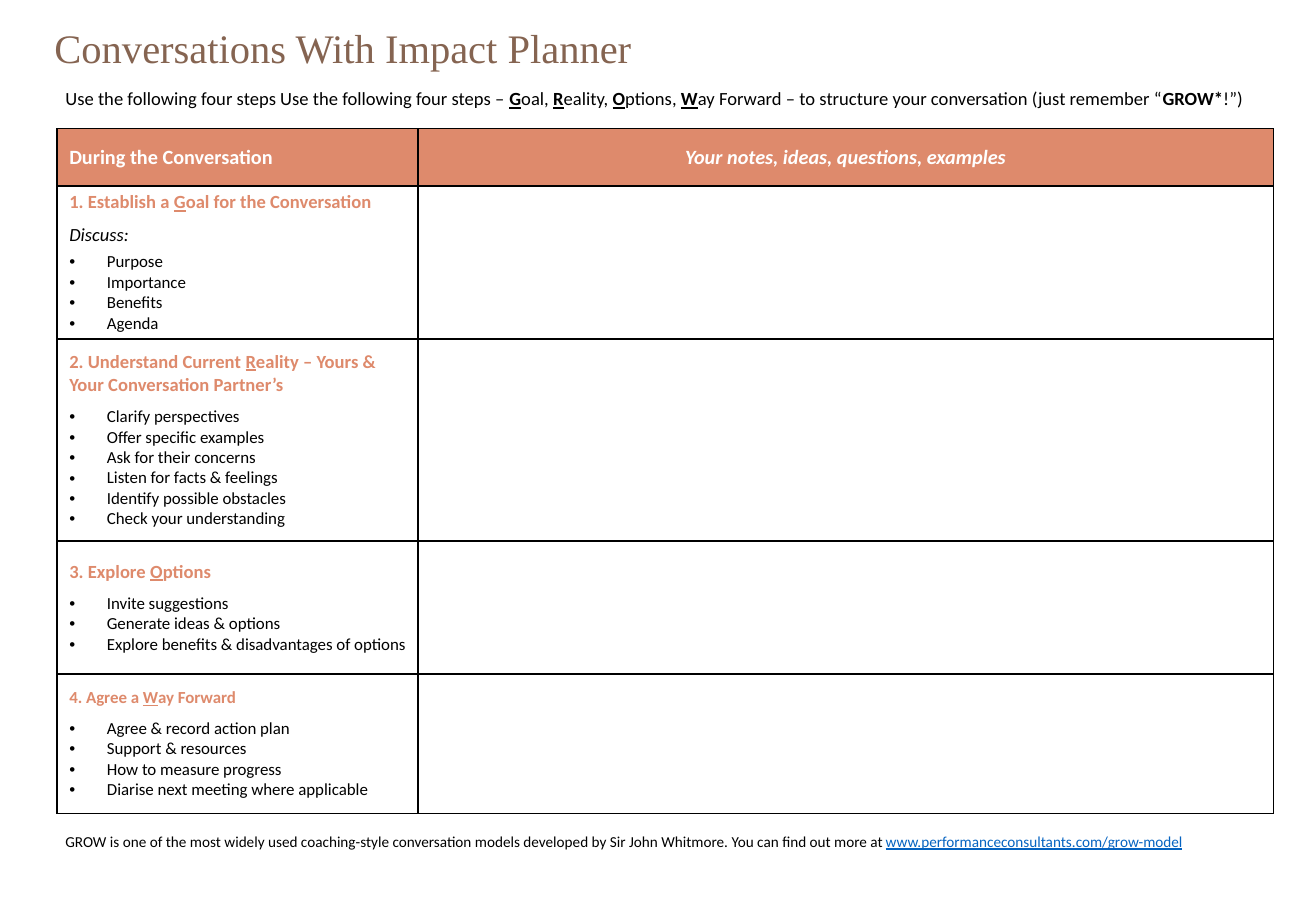
from lxml import etree
from pptx import Presentation
from pptx import util as u
from pptx.dml.color import RGBColor
from pptx.enum import text
from pptx.oxml.ns import qn

COLOURS = {"title": "856451", "accent": "DE8A6C", "ink": "000000",
           "paper": "FFFFFF", "link": "0563C1"}
WIDTH, HEIGHT = 10.83, 7.5
STRONG = {"bold": True, "underline": True}
HEADING = {"size": u.Pt(11), "bold": True, "colour": "accent"}
STEPS = [
    ("1. Establish a _G_oal for the Conversation", 11, "Discuss:",
     ["Purpose", "Importance", "Benefits", "Agenda"]),
    ("2. Understand Current _R_eality – Yours & Your Conversation Partner’s", 11, None,
     ["Clarify perspectives", "Offer specific examples", "Ask for their concerns",
      "Listen for facts & feelings", "Identify possible obstacles",
      "Check your understanding"]),
    ("3. Explore _O_ptions", 11, None,
     ["Invite suggestions", "Generate ideas & options",
      "Explore benefits & disadvantages of options"]),
    ("4. Agree a _W_ay Forward", 10, None,
     ["Agree & record action plan", "Support & resources",
      "How to measure progress", "Diarise next meeting where applicable"]),
]


def across(share):
    """Return a percentage of the slide's width."""
    return u.Inches(WIDTH * share / 100)


def down(share):
    """Return a percentage of the slide's height."""
    return u.Inches(HEIGHT * share / 100)


def write(para, markup, base, marked=None):
    """Add spans to a paragraph; parts between underscores take the marked format."""
    for index, words in enumerate(markup.split("_")):
        if not words:
            continue
        span = para.add_run()
        span.text = words
        look = {"name": "Calibri", "colour": "ink", **base}
        if index % 2:
            look.update(marked or {})
        span.font.color.rgb = RGBColor.from_string(COLOURS[look.pop("colour")])
        for key, value in look.items():
            setattr(span.font, key, value)


def add_line(page, box, anchor, align):
    """Place a text box given in percentages and return its first paragraph."""
    left, top, width, height = box
    frame = page.shapes.add_textbox(
        across(left), down(top), across(width), down(height)).text_frame
    frame.word_wrap = True
    frame.vertical_anchor = anchor
    para = frame.paragraphs[0]
    para.alignment = align
    return para


def add_title(page, box):
    """Place the page title."""
    para = add_line(page, box, text.MSO_ANCHOR.MIDDLE, text.PP_ALIGN.LEFT)
    para.line_spacing = 0.9
    write(para, "Conversations With Impact Planner",
          {"name": "Times New Roman", "size": u.Pt(24), "colour": "title"})


def add_intro(page, box):
    """Place the sentence that introduces the four steps."""
    para = add_line(page, box, text.MSO_ANCHOR.TOP, text.PP_ALIGN.JUSTIFY)
    base = {"size": u.Pt(11)}
    write(para, "Use the following four steps Use the following four steps – _G_oal, "
          "_R_eality, _O_ptions, _W_ay Forward – to structure your conversation "
          "(just remember “", base, STRONG)
    write(para, "_GROW*_!”)", base, {"bold": True})


def add_source_line(page, box):
    """Place the closing line about the model."""
    para = add_line(page, box, text.MSO_ANCHOR.TOP, text.PP_ALIGN.JUSTIFY)
    write(para, "GROW is one of the most widely used coaching-style conversation models "
          "developed by Sir John Whitmore. You can find out more at "
          "_www.performanceconsultants.com/grow-model", {"size": u.Pt(9)},
          {"colour": "link", "underline": True})


def format_cell(cell, fill=None):
    """Give a cell its margins, borders and fill."""
    cell.vertical_anchor = text.MSO_ANCHOR.MIDDLE
    cell.margin_top = cell.margin_bottom = u.Inches(0.04)
    properties = cell._tc.get_or_add_tcPr()
    for index, side in enumerate(("lnL", "lnR", "lnT", "lnB")):
        line = etree.Element(qn("a:" + side), w=str(u.Pt(1)))
        solid = etree.SubElement(line, qn("a:solidFill"))
        etree.SubElement(solid, qn("a:srgbClr"), val=COLOURS["ink"])
        properties.insert(index, line)
    if fill:
        cell.fill.solid()
        cell.fill.fore_color.rgb = RGBColor.from_string(COLOURS[fill])
    else:
        cell.fill.background()


def add_bullet(frame, words):
    """Append one bulleted paragraph."""
    para = frame.add_paragraph()
    indent = u.Inches(0.31)
    properties = para._p.get_or_add_pPr()
    properties.set("marL", str(indent))
    properties.set("indent", str(-indent))
    etree.SubElement(properties, qn("a:buFont"), typeface="Arial")
    etree.SubElement(properties, qn("a:buChar"), char="•")
    write(para, words, {"size": u.Pt(10)})


def fill_step(frame, heading, size, prompt, points):
    """Write one step: heading, optional prompt and bullets."""
    para = frame.paragraphs[0]
    para.space_after = u.Pt(6)
    write(para, heading, {**HEADING, "size": u.Pt(size)}, {"underline": True})
    if prompt:
        para = frame.add_paragraph()
        para.space_after = u.Pt(3)
        write(para, prompt, {"size": u.Pt(11), "italic": True})
    for point in points:
        add_bullet(frame, point)


def add_planner(page, box, columns, rows):
    """Place the planner table with its header and four steps."""
    left, top = box
    table = page.shapes.add_table(
        len(rows), len(columns), across(left), down(top),
        across(sum(columns)), down(sum(rows))).table
    for column, share in zip(table.columns, columns):
        column.width = across(share)
    for index, (row, share) in enumerate(zip(table.rows, rows)):
        row.height = down(share)
        for cell in row.cells:
            format_cell(cell, None if index else "accent")
    header = {"size": u.Pt(12), "bold": True, "colour": "paper"}
    topic, notes = (cell.text_frame.paragraphs[0] for cell in table.rows[0].cells)
    write(topic, "During the Conversation", header)
    notes.alignment = text.PP_ALIGN.CENTER
    write(notes, "Your notes, ideas, questions, examples", {**header, "italic": True})
    for index, step in enumerate(STEPS, 1):
        fill_step(table.cell(index, 0).text_frame, *step)


def main():
    """Build the planner slide and save it."""
    deck = Presentation()
    deck.slide_width, deck.slide_height = across(100), down(100)
    page = deck.slides.add_slide(deck.slide_layouts[6])
    add_title(page, (3.23, 2.4, 71.19, 6.27))
    add_planner(page, (4.34, 14.13), (27.42, 65), (6.27, 16.8, 22.2, 14.6, 15.33))
    add_intro(page, (4.06, 8.93, 93.54, 3.87))
    add_source_line(page, (4.06, 90.67, 92.61, 5.33))
    deck.save("out.pptx")


if __name__ == "__main__":
    main()
